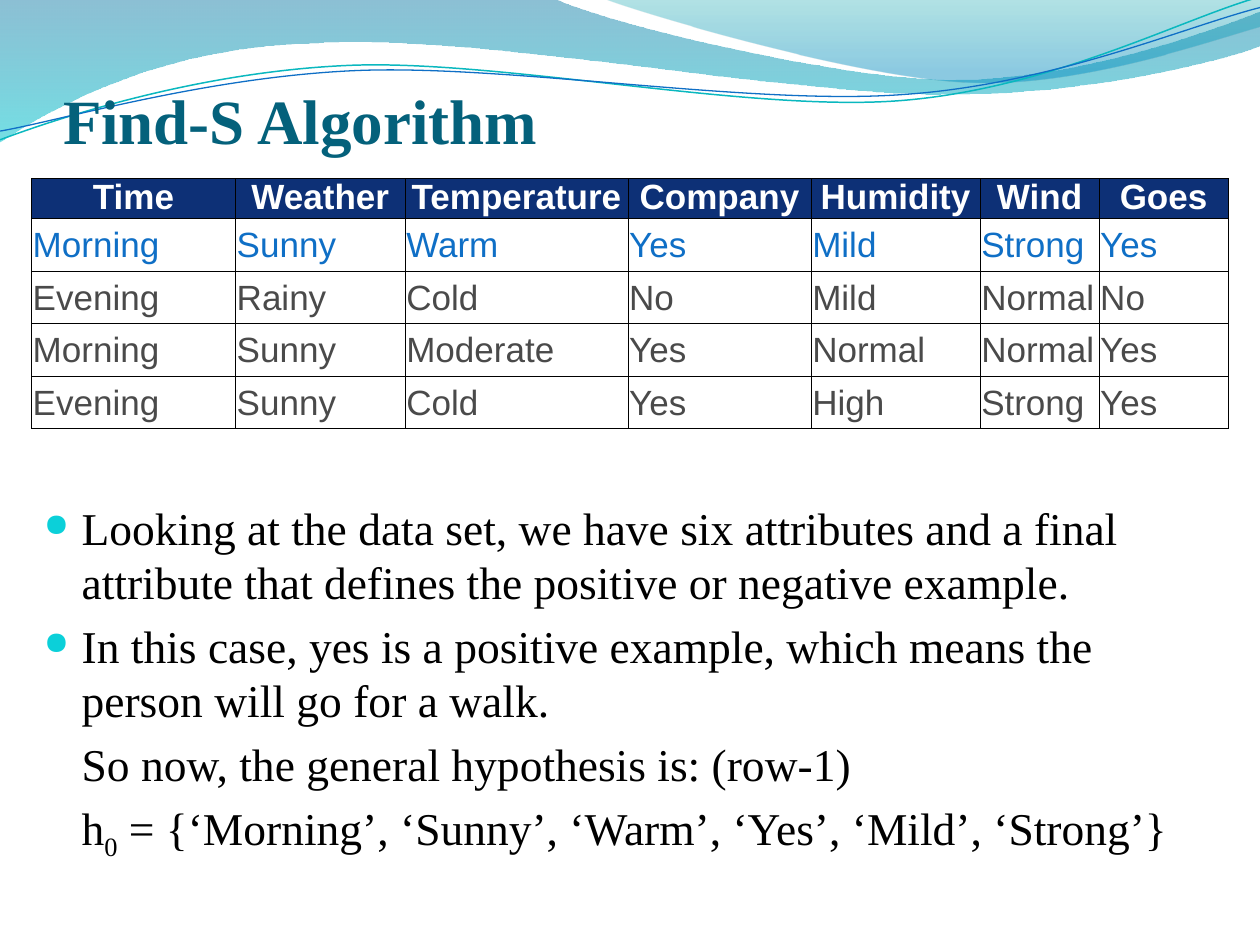
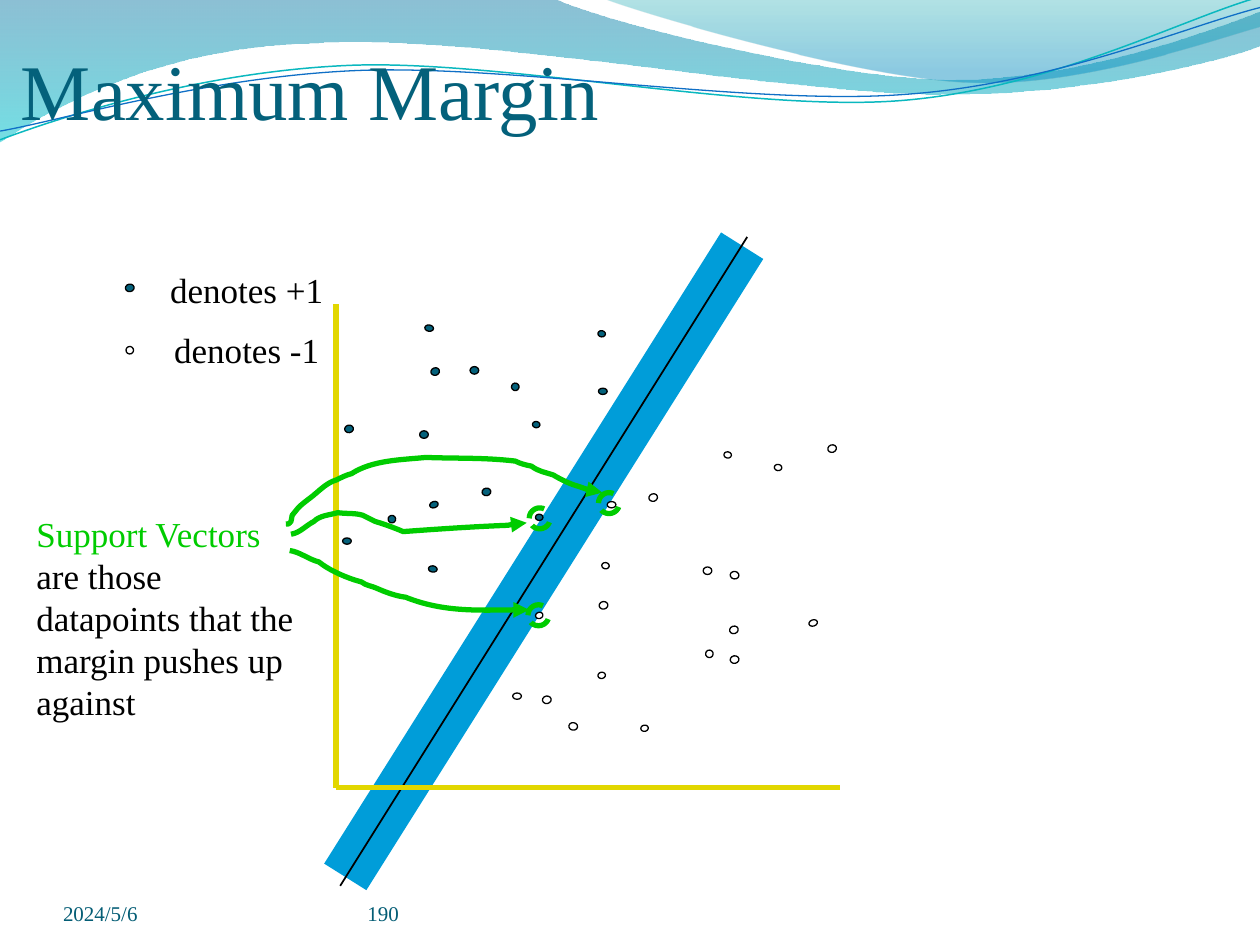
from dataclasses import dataclass
from pptx import Presentation
from pptx.dml.color import RGBColor as Color
from pptx.enum.dml import MSO_LINE as Dash
from pptx.enum.shapes import MSO_CONNECTOR as Connector, MSO_SHAPE as Preset
from pptx.enum.text import MSO_ANCHOR as Anchor, MSO_AUTO_SIZE as AutoSize, PP_ALIGN as Align
from pptx.oxml.ns import qn
from pptx.oxml.xmlchemy import OxmlElement as new_element
from pptx.util import Pt


@dataclass(frozen=True)
class Theme:
    """Colours, fonts and type sizes of the deck."""
    serif: str = "Times New Roman"
    sans: str = "Arial"
    title: str = "04617B"
    footer: str = "045D75"
    text: str = "000000"
    white: str = "FFFFFF"
    header: str = "0D3076"
    highlight: str = "0F6FC6"
    cell: str = "4A4A4A"
    bullet: str = "0BD0D9"
    thread: str = "0AB8BF"
    margin: str = "009DD9"
    axis: str = "E2D700"
    support: str = "00CC00"
    body_size: float = 26
    label_size: float = 20
    footer_size: float = 12


THEME = Theme()
rgb = Color.from_string

WAVE_LEFT = [
    (0, 0), (316.8, -0.7), (342.7, 12.2, 478, 45.4, 545.8, 45.4), (614.2, 45.4, 689.8, 18.7, 720, 6.5),
    (720.7, 25.9), (707.8, 31.7, 626.4, 54.7, 537.1, 54), (447.8, 54, 275, 20.2, 185, 24.5),
    (92.9, 25.9, 33.1, 59.8, -0.7, 81.4), (0, 0)]
WAVE_RIGHT = [
    (344.9, -0.7), (366.5, 7.9, 491, 44.6, 553.7, 46.8), (616.3, 49.7, 691.9, 23, 720, 15.1),
    (720, 0), (344.9, -0.7)]
THREAD_UPPER = [
    (0, 79.9), (34.6, 67, 113.8, 41, 199.4, 37.4), (284.4, 33.8, 427, 64.1, 513.4, 57.6),
    (599.8, 51.1, 675.4, 10.8, 718.6, -1.4)]
THREAD_LOWER = [
    (0, 74.9), (33.8, 69.1, 118.1, 43.9, 203.8, 40.3), (290.2, 36.7, 429.8, 60.5, 516.2, 54),
    (601.9, 48.2, 677.5, 15.1, 720, 4.3)]

COLUMN_WIDTHS = [116.6, 96.9, 127.4, 104.6, 96.6, 68, 73.8]
WALKS = [
    ["Time", "Weather", "Temperature", "Company", "Humidity", "Wind", "Goes"],
    ["Morning", "Sunny", "Warm", "Yes", "Mild", "Strong", "Yes"],
    ["Evening", "Rainy", "Cold", "No", "Mild", "Normal", "No"],
    ["Morning", "Sunny", "Moderate", "Yes", "Normal", "Normal", "Yes"],
    ["Evening", "Sunny", "Cold", "Yes", "High", "Strong", "Yes"]]

POSITIVE_DOTS = {
    (0, 5, 3.6): [(195.8, 307.4), (342, 221.8)], (0, 5, 4.3): [(268.6, 209.5), (239.8, 246.2)],
    (0, 4.3, 3.6): [(306, 293.8)], (341.4, 5, 4.3): [(246.2, 210.2)], (341.4, 5, 3.6): [(245.5, 286.6)],
    (98.3, 3.6, 4.3): [(304.6, 240.5), (342, 188.6)], (98.3, 3.6, 5): [(245.5, 322.6), (243.4, 185)],
    (79.6, 4.3, 5): [(72, 162), (275.8, 278.6), (197.3, 242.6)],
    (79.6, 4.3, 4.3): [(221.8, 294.5), (292.3, 218.9)]}
NEGATIVE_DOTS = {
    (0, 5, 3.6): [(293, 396), (347, 286.6)], (0, 5, 4.3): [(401.8, 324)],
    (341.4, 4.3, 3.6): [(306, 349.9)], (341.4, 5, 3.6): [(462.2, 354.2)],
    (341.4, 5, 4.3): [(473, 254.2), (416.9, 357.8), (370.8, 282.2)],
    (98.3, 4.3, 5): [(325.4, 412.6), (417.6, 326.2)], (98.3, 4.3, 4.3): [(72, 198), (403.2, 371.5)],
    (98.3, 3.6, 4.3): [(344.2, 321.1), (442.8, 265), (414, 257.8)],
    (79.6, 3.6, 4.3): [(366.5, 414), (342, 383.8)],
    (79.6, 4.3, 5): [(342.7, 343.4), (310.3, 397.4), (417.6, 374.4)]}
SUPPORT_RINGS = [(342, 281.5), (302.4, 290.2), (301.7, 345.6)]
SUPPORT_ARROWS = [
    [(166.3, 305.3), (171.4, 304.6, 175, 300.2, 179.3, 298.1), (182.9, 294.5, 187.9, 294.5, 193, 293),
     (199.4, 293.8, 202.3, 293, 207.4, 294.5), (214.6, 298.1), (219.6, 299.5, 225.4, 301.7, 230.4, 303.8),
     (249.8, 302.4, 270, 301, 290.2, 300.2), (293.8, 299.5, 297.4, 298.8, 301, 298.8)],
    [(163.4, 299.5), (164.2, 299.5, 165.6, 299.5, 165.6, 298.8), (167, 298.1, 166.3, 295.9, 167, 294.5),
     (167.8, 293, 169.2, 292.3, 169.9, 290.9), (171.4, 288.7, 178.6, 283.7, 179.3, 283),
     (183.6, 279.4, 187.2, 275.8, 192.2, 274.3), (195.1, 272.9, 198, 271.4, 200.9, 270.7),
     (213.1, 262.8, 229.7, 262.8, 243.4, 261.4), (260.6, 262.1, 277.2, 261.4, 294.5, 263.5),
     (297.4, 265, 300.2, 265.7, 303.8, 266.4), (307.4, 269.3, 311.8, 270, 316.1, 271.4),
     (321.1, 274.3, 325.4, 276.5, 330.5, 277.9), (334.8, 279.4, 339.8, 281.5, 344.2, 281.5)],
    [(165.6, 314.6), (171.4, 315.4, 176.4, 319.7, 182.2, 321.1), (188.6, 326.2, 198.7, 330.5, 206.6, 332.6),
     (209.5, 334.8, 212.4, 334.8, 215.3, 336.2), (220.3, 338.4, 226.1, 340.6, 231.8, 341.3),
     (253.4, 349.9, 279.4, 348.5, 302.4, 348.5)]]


def add_child(parent, tag, **attributes):
    """Append a new XML element with the given attributes."""
    child = new_element(tag)
    for name, value in attributes.items():
        child.set(name, str(value))
    parent.append(child)
    return child


def set_line(shape, color, width):
    """Give a shape or connector a plain line."""
    shape.line.color.rgb = rgb(color)
    shape.line.width = Pt(width)


def add_outline(slide, outline, close):
    """Draw line ends (x, y) and cubic curves (six numbers) as one freeform."""
    points = [(Pt(node[i]), Pt(node[i + 1])) for node in outline for i in range(0, len(node), 2)]
    builder = slide.shapes.build_freeform(*points[0])
    builder.add_line_segments(points[1:], close=close)
    shape = builder.convert_to_shape()
    shape.shadow.inherit = False
    segments = iter(list(shape.element.spPr.iter(qn("a:lnTo"))))
    for node in outline[1:]:
        first = next(segments)
        if len(node) == 6:
            curve = new_element("a:cubicBezTo")
            first.addprevious(curve)
            for segment in (first, next(segments), next(segments)):
                curve.append(segment[0])
                segment.getparent().remove(segment)
    return shape


def add_curve(slide, outline, color, width, arrow=False):
    """Draw an open curve, with an arrowhead if asked."""
    curve = add_outline(slide, outline, False)
    curve.fill.background()
    set_line(curve, color, width)
    if arrow:
        add_child(curve.element.spPr.find(qn("a:ln")), "a:tailEnd", type="triangle")
    return curve


def add_wave(slide, outline, stops):
    """Draw a closed wave with a translucent vertical gradient."""
    wave = add_outline(slide, outline, True)
    wave.fill.gradient()
    wave.fill.gradient_angle = 270
    for stop, (position, color, _) in zip(wave.fill.gradient_stops, stops):
        stop.position = position
        stop.color.rgb = rgb(color)
    for color_element, (_, _, opacity) in zip(wave.element.spPr.iter(qn("a:srgbClr")), stops):
        add_child(color_element, "a:alpha", val=opacity * 1000)
    wave.line.fill.background()
    return wave


def decorate_layout(layout, slide):
    """Place the shared waves on the layout."""
    waves = [add_wave(slide, WAVE_LEFT, [(0, "0074A1", 45), (1, "00C6CF", 55)]),
             add_wave(slide, WAVE_RIGHT, [(0, "00A1A9", 30), (0.8, "008BBF", 45)]),
             add_curve(slide, THREAD_UPPER, THEME.thread, 0.85),
             add_curve(slide, THREAD_LOWER, THEME.highlight, 0.75)]
    for number, wave in enumerate(waves, start=20):
        wave.element.nvSpPr.cNvPr.set("id", str(number))
        layout.shapes.element.append(wave.element)


def add_run(paragraph, text, size, color=THEME.text, font=THEME.serif, bold=False):
    """Add one formatted run."""
    run = paragraph.add_run()
    run.text = text
    run.font.name, run.font.size, run.font.bold = font, Pt(size), bold
    run.font.color.rgb = rgb(color)


def set_title(slide, text, box, size, bold=False):
    """Move, fill and format the title placeholder."""
    title = slide.shapes.title
    title.left, title.top, title.width, title.height = map(Pt, box)
    frame = title.text_frame
    frame.auto_size, frame.vertical_anchor = AutoSize.NONE, Anchor.BOTTOM
    frame.margin_left = frame.margin_right = frame.margin_bottom = 0
    frame.margin_top = Pt(3.6)
    frame.paragraphs[0].alignment = Align.LEFT
    add_run(frame.paragraphs[0], text, size, THEME.title, bold=bold)


def add_text(slide, box, paragraphs, size, gap=0, align=Align.LEFT):
    """Add a wrapped text box; each paragraph is a list of (text, colour) runs."""
    frame = slide.shapes.add_textbox(*map(Pt, box)).text_frame
    frame.word_wrap = True
    for index, runs in enumerate(paragraphs):
        paragraph = frame.add_paragraph() if index else frame.paragraphs[0]
        paragraph.alignment = align
        if index:
            paragraph.space_before = Pt(gap)
        for text, color in runs:
            add_run(paragraph, text, size, color)
    return frame


def indent(paragraph, bulleted):
    """Indent a paragraph and hang a round bullet if asked."""
    properties = paragraph._p.get_or_add_pPr()
    properties.set("marL", str(Pt(21.6)))
    properties.set("indent", str(Pt(-21.6) if bulleted else 0))
    if bulleted:
        add_child(add_child(properties, "a:buClr"), "a:srgbClr", val=THEME.bullet)
        add_child(properties, "a:buSzPct", val=70000)
        add_child(properties, "a:buChar", char="●")


def set_borders(cell):
    """Put a thin black border on all sides of a cell."""
    properties = cell._tc.get_or_add_tcPr()
    for position, side in enumerate(("a:lnL", "a:lnR", "a:lnT", "a:lnB")):
        border = add_child(properties, side, w=Pt(0.5))
        add_child(add_child(border, "a:solidFill"), "a:srgbClr", val=THEME.text)
        properties.insert(position, border)


def add_walk_table(slide):
    """Add the table of walks."""
    table = slide.shapes.add_table(len(WALKS), len(COLUMN_WIDTHS), Pt(18), Pt(102), Pt(684), Pt(143)).table
    table.first_row = table.horz_banding = False
    for column, width in zip(table.columns, COLUMN_WIDTHS):
        column.width = Pt(width)
    for index, (row, texts) in enumerate(zip(table.rows, WALKS)):
        row.height = Pt(30 if index else 23)
        color = {0: THEME.white, 1: THEME.highlight}.get(index, THEME.cell)
        for cell, text in zip(row.cells, texts):
            cell.margin_left = cell.margin_right = Pt(0.7)
            cell.margin_top, cell.margin_bottom = Pt(0.7 if index else 0), 0
            cell.vertical_anchor = Anchor.MIDDLE
            cell.fill.background()
            paragraph = cell.text_frame.paragraphs[0]
            if not index:
                cell.fill.solid()
                cell.fill.fore_color.rgb = rgb(THEME.header)
                paragraph.alignment, paragraph.line_spacing = Align.CENTER, 0.95
            add_run(paragraph, text, THEME.label_size, color, THEME.sans, bold=not index)
            set_borders(cell)


def add_line(slide, start, end, color, width):
    """Add a straight line without shadow."""
    line = slide.shapes.add_connector(Connector.STRAIGHT, *map(Pt, start + end))
    set_line(line, color, width)
    add_child(line.element.spPr, "a:effectLst")


def add_ellipse(slide, box, color, width):
    """Add an unfilled ellipse."""
    ellipse = slide.shapes.add_shape(Preset.OVAL, *map(Pt, box))
    ellipse.shadow.inherit = False
    ellipse.fill.background()
    set_line(ellipse, color, width)
    return ellipse


def add_dots(slide, dots, fill):
    """Add data points grouped by rotation and size."""
    for (rotation, *size), places in dots.items():
        for place in places:
            dot = add_ellipse(slide, (*place, *size), THEME.text, 0.75)
            dot.rotation = rotation
            dot.fill.solid()
            dot.fill.fore_color.rgb = rgb(fill)


def build_find_s(slide):
    """Build the slide on the Find-S algorithm."""
    set_title(slide, "Find-S Algorithm", (36, 0, 648, 90), 36, bold=True)
    paragraphs = [
        ["Looking at the data set, we have six attributes and a final attribute "
         "that defines the positive or negative example."],
        ["In this case, yes is a positive example, which means the person will go for a walk."],
        ["So now, the general hypothesis is: (row-1)"],
        ["h", "0", " = {‘Morning’, ‘Sunny’, ‘Warm’, ‘Yes’, ‘Mild’, ‘Strong’}"]]
    runs = [[(text, THEME.text) for text in texts] for texts in paragraphs]
    frame = add_text(slide, (18, 282, 684, 234), runs, THEME.body_size, gap=5.2)
    for index, paragraph in enumerate(frame.paragraphs):
        indent(paragraph, bulleted=index < 2)
    frame.paragraphs[-1].runs[1].font._element.set("baseline", "-25000")
    add_walk_table(slide)


def build_maximum_margin(slide):
    """Build the slide on the maximum margin."""
    set_title(slide, "Maximum Margin", (12, 24, 366, 54), 45)
    for text, left, width in (("2024/5/6", 36, 168), ("190", 210, 264)):
        footer = add_text(slide, (left, 500, width, 29), [[(text, THEME.footer)]], THEME.footer_size)
        footer.margin_left = footer.margin_right = footer.margin_top = footer.margin_bottom = 0
        footer.vertical_anchor = Anchor.BOTTOM
    add_line(slide, (197.3, 501.1), (424.1, 140.4), THEME.margin, 28.5)
    add_line(slide, (194.4, 506.2), (427, 135.4), THEME.text, 1)
    legend = [[("denotes +1", THEME.text)], [("denotes -1", THEME.text)]]
    add_text(slide, (66, 150, 150, 67), legend, THEME.label_size, gap=10.2, align=Align.CENTER)
    for end in ((192, 174), (480, 450)):
        add_line(slide, (192, 450), end, THEME.axis, 3)
    add_dots(slide, POSITIVE_DOTS, THEME.title)
    add_dots(slide, NEGATIVE_DOTS, THEME.white)
    note = [("Support Vectors ", THEME.support),
            ("are those datapoints that the margin pushes up against", THEME.text)]
    add_text(slide, (13.7, 289.5, 167, 151), [note], THEME.label_size)
    for outline in SUPPORT_ARROWS:
        add_curve(slide, outline, THEME.support, 3, arrow=True)
    for place in SUPPORT_RINGS:
        add_ellipse(slide, place + (12, 12), THEME.support, 3).line.dash_style = Dash.DASH


def main():
    """Build and save the presentation."""
    presentation = Presentation()
    presentation.slide_width, presentation.slide_height = Pt(720), Pt(540)
    layout = presentation.slide_layouts[5]
    slides = [presentation.slides.add_slide(layout) for _ in range(2)]
    decorate_layout(layout, slides[0])
    build_find_s(slides[0])
    build_maximum_margin(slides[1])
    presentation.save("out.pptx")


if __name__ == "__main__":
    main()
